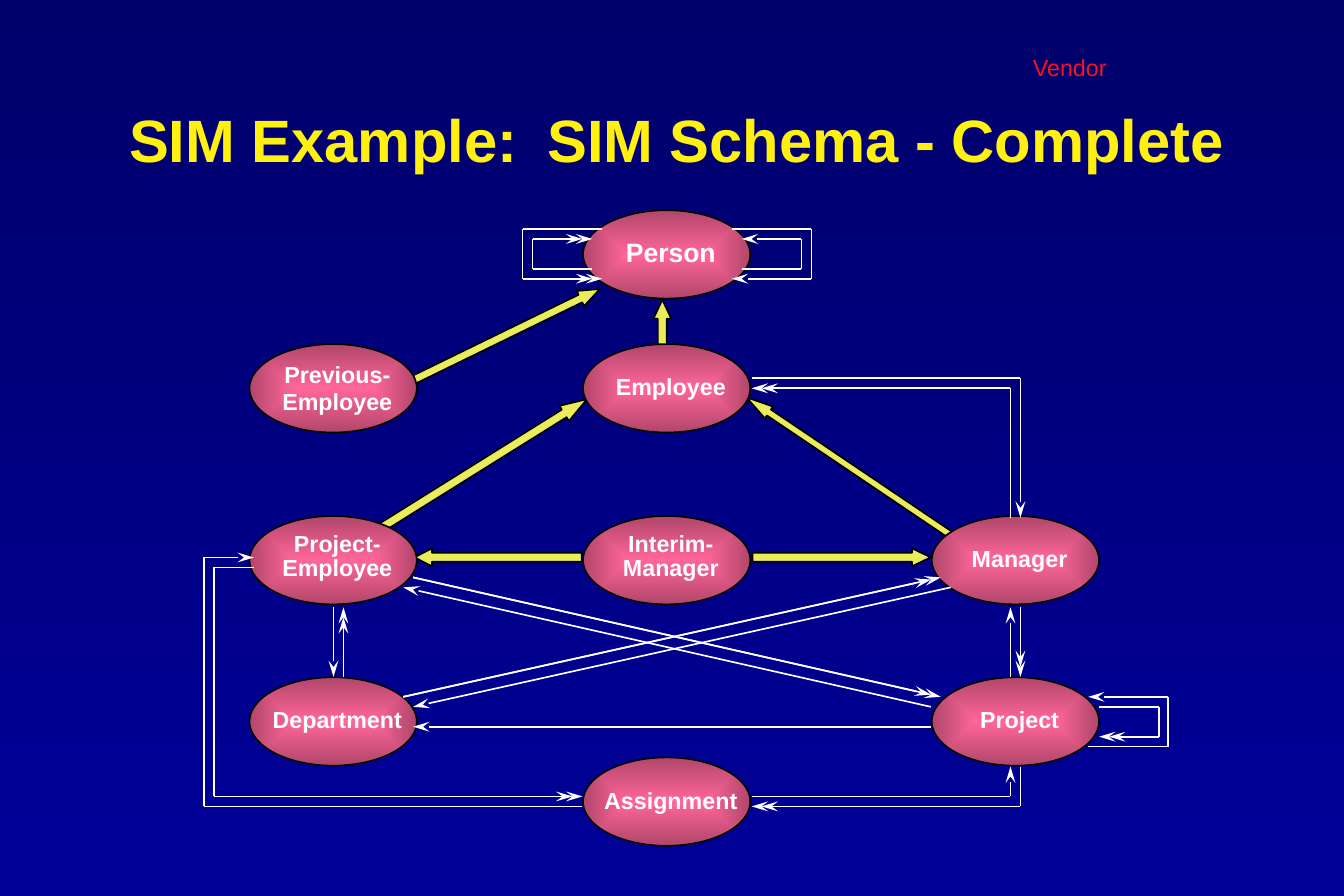
from math import hypot

from lxml.etree import SubElement
from pptx import Presentation
from pptx.dml.color import RGBColor
from pptx.enum.shapes import MSO_CONNECTOR, MSO_SHAPE
from pptx.enum.text import MSO_ANCHOR, MSO_AUTO_SIZE, PP_ALIGN
from pptx.oxml.ns import qn
from pptx.util import Pt

COLORS = {
    "night": "00006A", "navy": "000099", "title": "FFF010", "vendor": "FF1020",
    "rose": "FF6699", "plum": "B1466A", "arrow": "EAEC5E",
    "white": "FFFFFF", "black": "000000",
}
FONT = "Arial"
GRID = 6
ENTITY_SIZE = (100.8, 53.3)
COLUMNS = {"left": 27.4, "middle": 228.4, "right": 438.6}

ENTITIES = [
    (["Person"], "middle", 0.7, 16, [0.9]),
    (["Previous-", "Employee"], "left", 81.4, 14, [0.9, 0.5]),
    (["Employee"], "middle", 81.4, 14, [0.9]),
    (["Project-", "Employee"], "left", 185, 14, [0.5, 0.5]),
    (["Interim-", "Manager"], "middle", 185, 14, [0.5, 0.5]),
    (["Manager"], "right", 185, 14, [0.9]),
    (["Department"], "left", 282.2, 14, [0.9]),
    (["Project"], "right", 282.2, 14, [0.9]),
    (["Assignment"], "middle", 330.5, 14, [0.9]),
]

SUBCLASS_ARROWS = [
    (MSO_SHAPE.UP_ARROW, 177.2, 13, 10.1, 125.3, 64, 1.3),
    (MSO_SHAPE.UP_ARROW, 270.8, 54.7, 10.8, 28.8, 0, 1.06),
    (MSO_SHAPE.UP_ARROW, 162.8, 79.9, 10.8, 147.6, 58, 1.5),
    (MSO_SHAPE.UP_ARROW, 388.2, 78.5, 8.6, 158.4, 304, 1.91),
    (MSO_SHAPE.LEFT_ARROW, 126.8, 204.5, 100.8, 10.8, 0, 0.98),
    (MSO_SHAPE.RIGHT_ARROW, 330.6, 204.5, 107.3, 10.8, 0, 1.04),
]

SINGLE_VALUED = [
    [(53, 2), (61, 2), (61, 7), (53, 7)],
    [(54, 6), (60, 6), (60, 3), (54, 3)],
    [(55, 17), (82, 17), (82, 31)],
    [(81, 47), (81, 40)],
    [(55, 59), (81, 59), (81, 56)],
    [(73, 52), (21, 52)],
    [(13, 40), (13, 47)],
    [(38, 60), (0, 60), (0, 35), (5, 35)],
    [(73, 50), (20, 38)],
    [(75, 38), (21, 50)],
    [(88.8, 54), (96.8, 54), (96.8, 49), (88.8, 49)],
]

MULTI_VALUED = [
    [(40, 2), (32, 2), (32, 7), (40, 7)],
    [(39, 6), (33, 6), (33, 3), (39, 3)],
    [(81, 31), (81, 18), (55, 18)],
    [(82, 40), (82, 47)],
    [(82, 56), (82, 60), (55, 60)],
    [(14, 47), (14, 40)],
    [(5, 36), (1, 36), (1, 59), (38, 59)],
    [(21, 37), (74, 49)],
    [(20, 49), (74, 37)],
    [(89.9, 50), (95.9, 50), (95.9, 53), (89.9, 53)],
]


def rgb(name):
    """Return the named colour."""
    return RGBColor.from_string(COLORS[name])


def blend(fill, start, end):
    """Give a fill two gradient colours."""
    fill.gradient()
    for stop, name in zip(fill.gradient_stops, (start, end)):
        stop.color.rgb = rgb(name)


def write(frame, lines, *, size, color, bold=False, align=PP_ALIGN.CENTER,
          anchor=MSO_ANCHOR.TOP, spacing=(0.9,), before=6.1, wrap=False,
          side=7.2, indent=(31.7, -26.6), tab=None):
    """Write lines of text into a frame with the given format."""
    frame.auto_size = MSO_AUTO_SIZE.NONE
    frame.word_wrap = wrap
    frame.vertical_anchor = anchor
    frame.margin_left = frame.margin_right = Pt(side)
    frame.margin_top = frame.margin_bottom = Pt(3.6)
    for index, line in enumerate(lines):
        paragraph = frame.add_paragraph() if index else frame.paragraphs[0]
        paragraph.alignment = align
        paragraph.line_spacing = spacing[index]
        if index:
            paragraph.space_before = Pt(before)
        properties = paragraph._p.get_or_add_pPr()
        properties.set("marL", str(Pt(indent[0])))
        properties.set("indent", str(Pt(indent[1])))
        if tab:
            stops = SubElement(properties, qn("a:tabLst"))
            SubElement(stops, qn("a:tab"), pos=str(Pt(tab)), algn="l")
        run = paragraph.add_run()
        run.text = line
        run.font.name, run.font.size, run.font.bold = FONT, Pt(size), bold
        run.font.color.rgb = rgb(color)


def add_outlined(slide, kind, left, top, width, height):
    """Add a preset shape with a thin black outline."""
    shape = slide.shapes.add_shape(kind, Pt(left), Pt(top), Pt(width), Pt(height))
    shape.shadow.inherit = False
    shape.line.color.rgb = rgb("black")
    shape.line.width = Pt(1)
    return shape


def add_heading(slide, left, top, width, height):
    """Place the slide title and the vendor label above it."""
    title = slide.shapes.title
    title.left, title.top, title.width, title.height = map(
        Pt, (left, top + 23.8, width, height - 23.8))
    write(title.text_frame, ["SIM Example:\tSIM Schema - Complete"], size=36,
          color="title", bold=True, align=PP_ALIGN.LEFT, anchor=MSO_ANCHOR.MIDDLE,
          wrap=True, side=0, indent=(0, 0), tab=287.3)
    vendor = slide.shapes.add_textbox(Pt(left + 513.3), Pt(top), Pt(102.2), Pt(22.3))
    write(vendor.text_frame, ["Vendor"], size=14, color="vendor", wrap=True)


def add_entity(slide, left, top, lines, size, spacing):
    """Add one entity ellipse with its name."""
    entity = add_outlined(slide, MSO_SHAPE.OVAL, left, top, *ENTITY_SIZE)
    blend(entity.fill, "rose", "plum")
    gradient = entity._element.spPr.find(qn("a:gradFill"))
    gradient.remove(gradient.find(qn("a:lin")))
    focus = SubElement(gradient, qn("a:path"), path="rect")
    SubElement(focus, qn("a:fillToRect"), l="50000", t="50000", r="50000", b="50000")
    write(entity.text_frame, lines, size=size, color="white", bold=True,
          anchor=MSO_ANCHOR.MIDDLE, spacing=spacing)


def add_segment(slide, start, end, arrow):
    """Add one white line, with an arrowhead at its end if asked."""
    segment = slide.shapes.add_connector(
        MSO_CONNECTOR.STRAIGHT, *map(Pt, (*start, *end)))
    segment.line.color.rgb = rgb("white")
    segment.line.width = Pt(1)
    if arrow:
        SubElement(segment.line._get_or_add_ln(), qn("a:tailEnd"),
                   type="stealth", w="med", len="lg")
    SubElement(segment._element.spPr, qn("a:effectLst"))


def add_relationship(slide, left, top, route, multi):
    """Draw a route that ends in one arrowhead, or two if multi-valued."""
    points = [(left + x * GRID, top + y * GRID) for x, y in route]
    for index in range(1, len(points)):
        add_segment(slide, points[index - 1], points[index], index == len(points) - 1)
    if multi:
        start, tip = points[-2:]
        share = 1 - GRID / hypot(tip[0] - start[0], tip[1] - start[1])
        inner = [a + (b - a) * share for a, b in zip(start, tip)]
        add_segment(slide, start, inner, True)


def add_schema(slide, left, top):
    """Draw the schema from the top left corner of its box."""
    for kind, x, y, width, height, angle, head in SUBCLASS_ARROWS:
        arrow = add_outlined(slide, kind, left + x, top + y, width, height)
        arrow.fill.solid()
        arrow.fill.fore_color.rgb = rgb("arrow")
        arrow.adjustments[0], arrow.adjustments[1] = 0.5, head
        arrow.rotation = angle
    for lines, column, y, size, spacing in ENTITIES:
        add_entity(slide, left + COLUMNS[column], top + y, lines, size, spacing)
    for routes, multi in ((SINGLE_VALUED, False), (MULTI_VALUED, True)):
        for route in routes:
            add_relationship(slide, left, top, route, multi)


def main():
    """Build and save the slide."""
    deck = Presentation()
    deck.slide_width, deck.slide_height = Pt(810), Pt(540)
    slide = deck.slides.add_slide(deck.slide_layouts[5])
    blend(slide.background.fill, "night", "navy")
    slide.background.fill.gradient_angle = 270
    add_heading(slide, 77.8, 30.2, 704.2, 88.6)
    add_schema(slide, 123, 126)
    deck.save("out.pptx")


if __name__ == "__main__":
    main()
